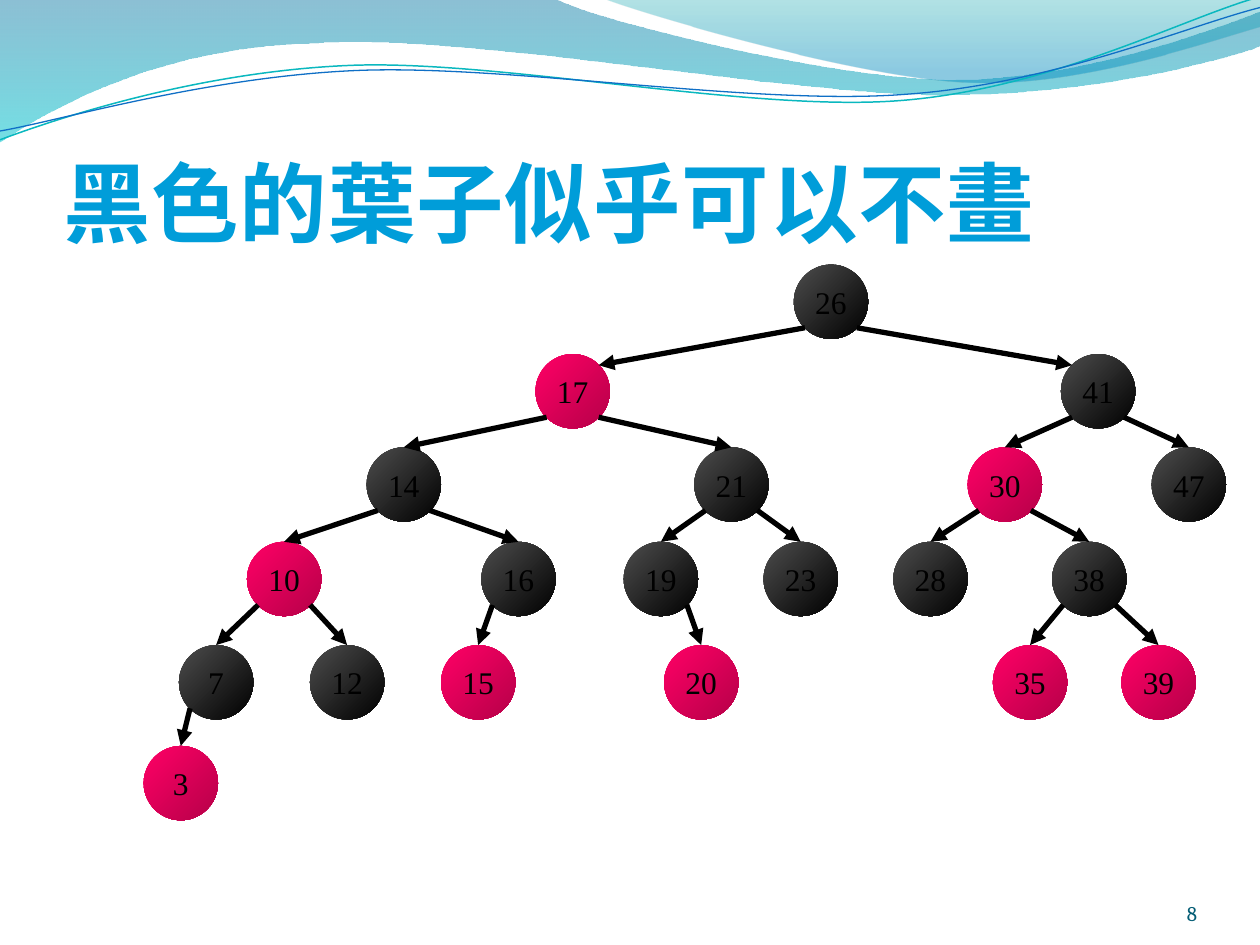
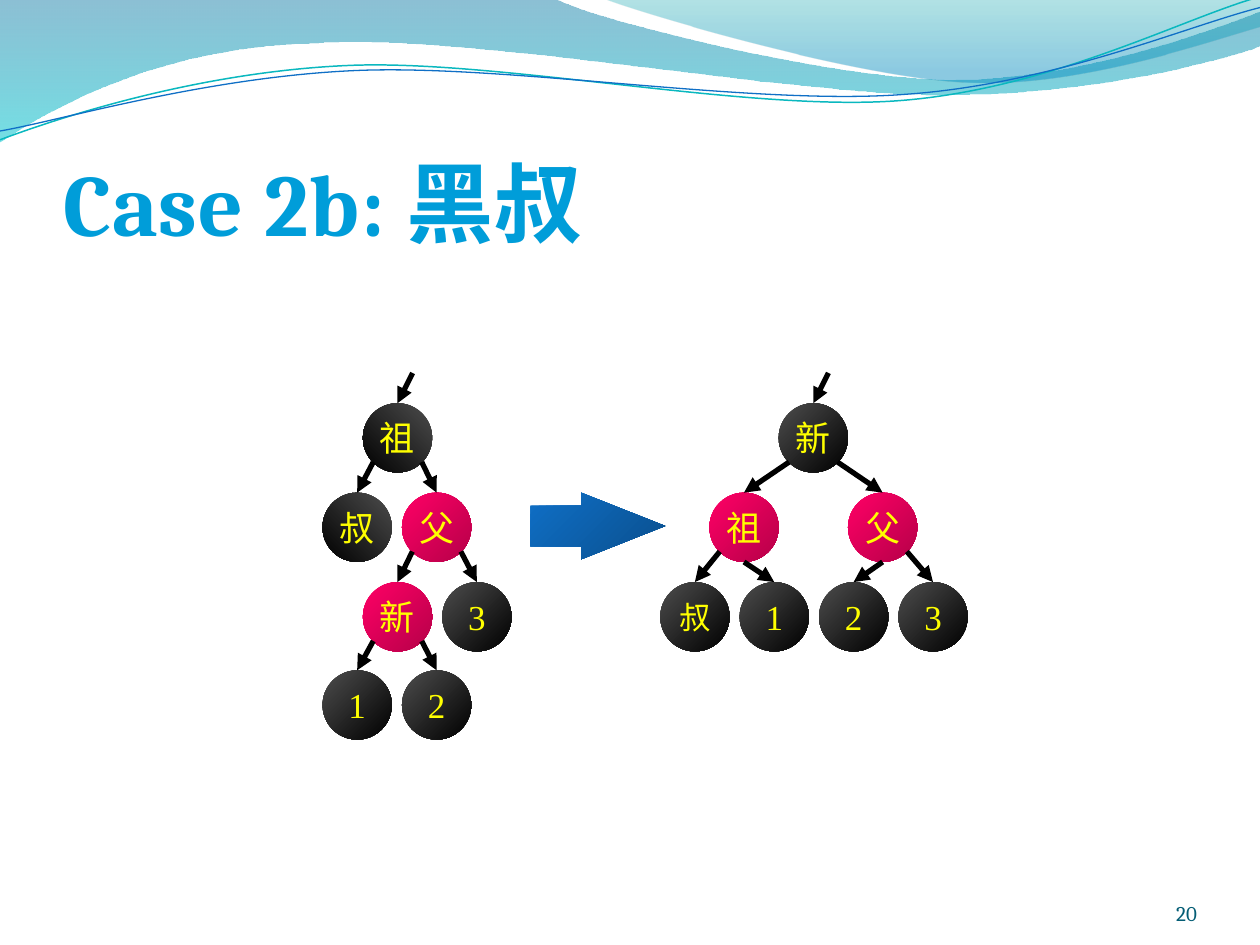
from dataclasses import dataclass

from lxml.etree import SubElement
from pptx import Presentation
from pptx.dml.color import RGBColor
from pptx.enum.shapes import MSO_CONNECTOR, MSO_SHAPE
from pptx.enum.text import MSO_ANCHOR, MSO_AUTO_SIZE, PP_ALIGN
from pptx.oxml.ns import qn
from pptx.util import Pt

EMU_PER_PX = 9144  # 100 px to the inch
HEADING_FONT = "Cambria"
NODE_FONT = "Times New Roman"
TITLE_COLOUR = "009DD9"
NUMBER_COLOUR = "045D75"
BLACK = ("4D4D4D", "000000")
RED = ("FF0066", "FF0066")  # equal ends: the second one is shaded
BLUE = ("0F6FC6", "0F6FC6")
SHADE = 46275

# Each band or line: start point, then lines (2 numbers) and curves (6 numbers)
WIDE_WAVE = [(0, 0), (440, -1), (476, 17, 664, 63, 758, 63), (853, 63, 958, 26, 1000, 9),
             (1001, 36), (983, 44, 870, 76, 746, 75), (622, 75, 382, 28, 257, 34),
             (129, 36, 46, 83, -1, 113), (0, 0)]
RIGHT_WAVE = [(479, -1), (509, 11, 682, 62, 769, 65), (856, 69, 961, 32, 1000, 21),
              (1000, 0), (479, -1)]
TEAL_LINE = [(0, 111), (48, 93, 158, 57, 277, 52), (395, 47, 593, 89, 713, 80),
             (833, 71, 938, 15, 998, -2)]
BLUE_LINE = [(0, 104), (47, 96, 164, 61, 283, 56), (403, 51, 597, 84, 717, 75),
             (836, 67, 941, 21, 1000, 6)]


def px(length):
    return round(length * EMU_PER_PX)


def colour(hex_string):
    return RGBColor.from_string(hex_string)


@dataclass
class Node:
    label: str
    left: int
    level: int
    colours: tuple
    parent: str = ""
    from_bottom: bool = False  # edge leaves the parent at its lowest point
    to_shoulder: bool = False  # edge arrives at the upper side facing the parent
    angle: int = 45
    font: str = NODE_FONT
    size: int = 0


class Deck:
    def __init__(self):
        self.presentation = Presentation()
        self.presentation.slide_width = px(1000)
        self.presentation.slide_height = px(750)
        self.slide = None

    def add_slide(self, title, number):
        first = self.slide is None
        self.slide = self.presentation.slides.add_slide(self.presentation.slide_layouts[5])
        if first:
            self.decorate_master()
        self.title(title)
        self.slide_number(number)

    def decorate_master(self):
        """Draw the waves once and move them behind everything on the master."""
        waves = [self.band(WIDE_WAVE, ("0074A1", "00C6CF"), (45, 55), 1),
                 self.band(RIGHT_WAVE, ("00A1A9", "008BBF"), (30, 45), 0.8),
                 self.thin_line(TEAL_LINE, "0AB8BF", 0.85),
                 self.thin_line(BLUE_LINE, "0F6FC6", 0.75)]
        tree = self.presentation.slide_master.shapes._spTree
        for index, wave in enumerate(waves):
            wave._element.nvSpPr.cNvPr.set("id", str(100 + index))
            tree.insert(2 + index, wave._element)

    def freeform(self, outline, close):
        """Build straight segments, then merge each curve's three into one Bezier."""
        points = [(px(segment[i]), px(segment[i + 1]))
                  for segment in outline for i in range(0, len(segment), 2)]
        builder = self.slide.shapes.build_freeform(*points[0], scale=1.0)
        builder.add_line_segments(points[1:], close=close)
        shape = builder.convert_to_shape()
        shape.shadow.inherit = False
        lines = shape._element.spPr.iter(qn("a:lnTo"))
        lines = iter(list(lines))
        for segment in outline[1:]:
            line = next(lines)
            if len(segment) == 6:
                line.tag = qn("a:cubicBezTo")
                for _ in range(2):
                    control = next(lines)
                    line.append(control[0])
                    control.getparent().remove(control)
        return shape

    def band(self, outline, colours, opacities, end):
        shape = self.freeform(outline, True)
        self.gradient(shape, colours, 90, end)
        elements = shape._element.spPr.iter(qn("a:srgbClr"))
        for element, opacity in zip(elements, opacities):
            SubElement(element, qn("a:alpha")).set("val", str(opacity * 1000))
        return shape

    def thin_line(self, outline, line_colour, width):
        shape = self.freeform(outline, False)
        shape.fill.background()
        shape.line.color.rgb = colour(line_colour)
        shape.line.width = Pt(width)
        return shape

    def gradient(self, shape, colours, angle, end=1):
        """Fill without outline; the angle runs clockwise."""
        shape.fill.gradient()
        shape.fill.gradient_angle = 360 - angle
        for stop, position, stop_colour in zip(shape.fill.gradient_stops, (0, end), colours):
            stop.position = position
            stop.color.rgb = colour(stop_colour)
        shape.line.fill.background()
        if colours[0] == colours[1]:
            last = list(shape._element.spPr.iter(qn("a:srgbClr")))[-1]
            SubElement(last, qn("a:shade")).set("val", str(SHADE))

    def run(self, paragraph, text, font, size, text_colour):
        run = paragraph.add_run()
        run.text = text
        run.font.name = font
        run.font.size = Pt(size)
        run.font.color.rgb = colour(text_colour)
        return run

    def frame(self, shape, anchor, alignment, wrap=True):
        text_frame = shape.text_frame
        text_frame.word_wrap = wrap
        text_frame.auto_size = MSO_AUTO_SIZE.NONE
        text_frame.vertical_anchor = anchor
        paragraph = text_frame.paragraphs[0]
        paragraph.alignment = alignment
        return text_frame, paragraph

    def title(self, text):
        shape = self.slide.shapes.title
        shape.left, shape.top, shape.width, shape.height = px(50), px(77), px(900), px(125)
        text_frame, paragraph = self.frame(shape, MSO_ANCHOR.BOTTOM, PP_ALIGN.LEFT)
        text_frame.margin_left = text_frame.margin_right = text_frame.margin_bottom = 0
        text_frame.margin_top = px(5)
        run = self.run(paragraph, text, HEADING_FONT, 50, TITLE_COLOUR)
        run.font.bold = True
        run.font._element.set("spc", "50")

    def slide_number(self, number):
        shape = self.slide.shapes.add_textbox(px(867), px(695), px(83), px(40))
        text_frame, paragraph = self.frame(shape, MSO_ANCHOR.BOTTOM, PP_ALIGN.RIGHT)
        text_frame.margin_left = text_frame.margin_right = 0
        text_frame.margin_top = text_frame.margin_bottom = 0
        self.run(paragraph, number, HEADING_FONT, 12, NUMBER_COLOUR)

    def shape(self, kind, left, top, width, height, colours, angle=45):
        shape = self.slide.shapes.add_shape(kind, px(left), px(top), px(width), px(height))
        shape.shadow.inherit = False
        self.gradient(shape, colours, angle)
        return shape

    def arrow(self, start, end):
        points = [px(value) for value in (*start, *end)]
        connector = self.slide.shapes.add_connector(MSO_CONNECTOR.STRAIGHT, *points)
        connector.line.width = Pt(3)
        connector.line.color.rgb = colour("000000")
        SubElement(connector.line._get_or_add_ln(), qn("a:tailEnd")).set("type", "triangle")
        SubElement(connector._element.spPr, qn("a:effectLst"))

    def tree(self, nodes, tops, diameter, size, text_colour):
        """Draw the nodes of a tree, then an arrow from each parent to its child."""
        by_label = {node.label: node for node in nodes}
        for node in nodes:
            circle = self.shape(MSO_SHAPE.OVAL, node.left, tops[node.level], diameter, diameter,
                                node.colours, node.angle)
            _, paragraph = self.frame(circle, MSO_ANCHOR.MIDDLE, PP_ALIGN.CENTER, False)
            self.run(paragraph, node.label, node.font, node.size or size, text_colour)

        def site(node, across, down):
            return node.left + across * diameter, tops[node.level] + down * diameter

        near, far = 0.15, 0.85  # where a diagonal meets the circle
        for node in nodes:
            if not node.parent:
                continue
            parent = by_label[node.parent]
            towards, back = (near, far) if node.left < parent.left else (far, near)
            start = site(parent, 0.5, 1) if node.from_bottom else site(parent, towards, far)
            end = site(node, back, near) if node.to_shoulder else site(node, 0.5, 0)
            self.arrow(start, end)


def draw_full_tree(deck):
    deck.add_slide("黑色的葉子似乎可以不畫", "8")
    nodes = [
        Node("26", 630, 0, BLACK),
        Node("17", 425, 1, RED, "26", to_shoulder=True),
        Node("41", 842, 1, BLACK, "26", to_shoulder=True),
        Node("14", 291, 2, BLACK, "17"),
        Node("21", 551, 2, BLACK, "17"),
        Node("30", 768, 2, RED, "41"),
        Node("47", 914, 2, BLACK, "41"),
        Node("10", 196, 3, RED, "14"),
        Node("16", 382, 3, BLACK, "14"),
        Node("19", 495, 3, BLACK, "21"),
        Node("23", 606, 3, BLACK, "21"),
        Node("28", 709, 3, BLACK, "30"),
        Node("38", 835, 3, BLACK, "30"),
        Node("7", 142, 4, BLACK, "10"),
        Node("12", 246, 4, BLACK, "10"),
        Node("15", 350, 4, RED, "16"),
        Node("20", 527, 4, RED, "19"),
        Node("35", 788, 4, RED, "38"),
        Node("39", 890, 4, RED, "38"),
        Node("3", 114, 5, RED, "7"),
    ]
    deck.tree(nodes, (210, 281, 355, 430, 512, 592), 59, 18, "000000")


def draw_rotation(deck):
    deck.add_slide("Case 2b: 黑叔", "20")
    before = [
        Node("祖", 288, 0, BLACK, angle=135),
        Node("叔", 256, 1, BLACK, "祖", angle=135),
        Node("父", 319, 1, RED, "祖"),
        Node("新", 288, 2, RED, "父"),
        Node("3", 351, 2, BLACK, "父"),
        Node("1", 256, 3, BLACK, "新"),
        Node("2", 319, 3, BLACK, "新"),
    ]
    after = [
        Node("新", 618, 0, BLACK),
        Node("祖", 563, 1, RED, "新"),
        Node("父", 673, 1, RED, "新"),
        Node("叔", 524, 2, BLACK, "祖", font=HEADING_FONT, size=18),
        Node("1", 587, 2, BLACK, "祖", from_bottom=True),
        Node("2", 650, 2, BLACK, "父", from_bottom=True),
        Node("3", 713, 2, BLACK, "父"),
    ]
    tops, diameter = (320, 391, 462, 532), 55
    for nodes in (before, after):
        deck.tree(nodes, tops, diameter, 20, "FFFF00")
        root_middle = nodes[0].left + diameter / 2
        deck.arrow((root_middle + 12, tops[0] - 24), (root_middle, tops[0]))
    becomes = deck.shape(MSO_SHAPE.RIGHT_ARROW, 421, 391, 107, 53, BLUE)
    becomes.adjustments[0] = 0.61
    becomes.adjustments[1] = 1.26


def main():
    deck = Deck()
    draw_full_tree(deck)
    draw_rotation(deck)
    deck.presentation.save("out.pptx")


if __name__ == "__main__":
    main()
